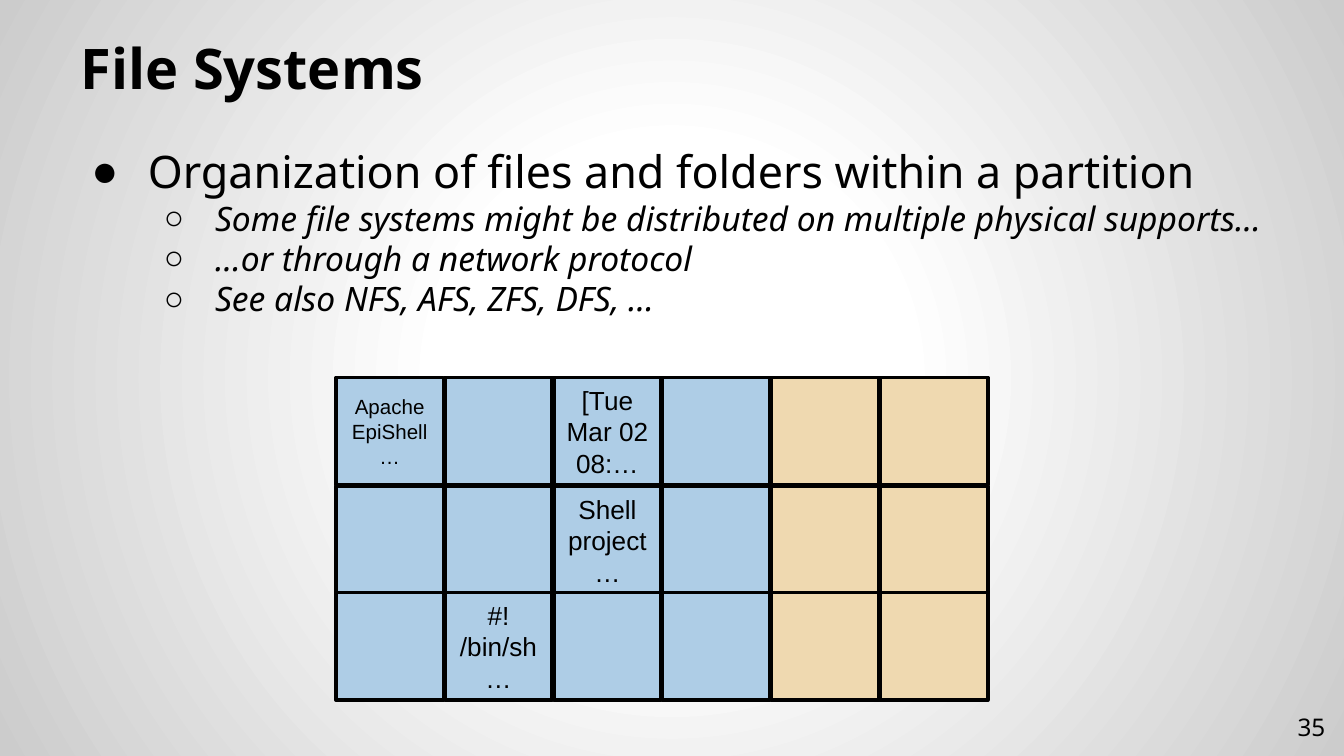
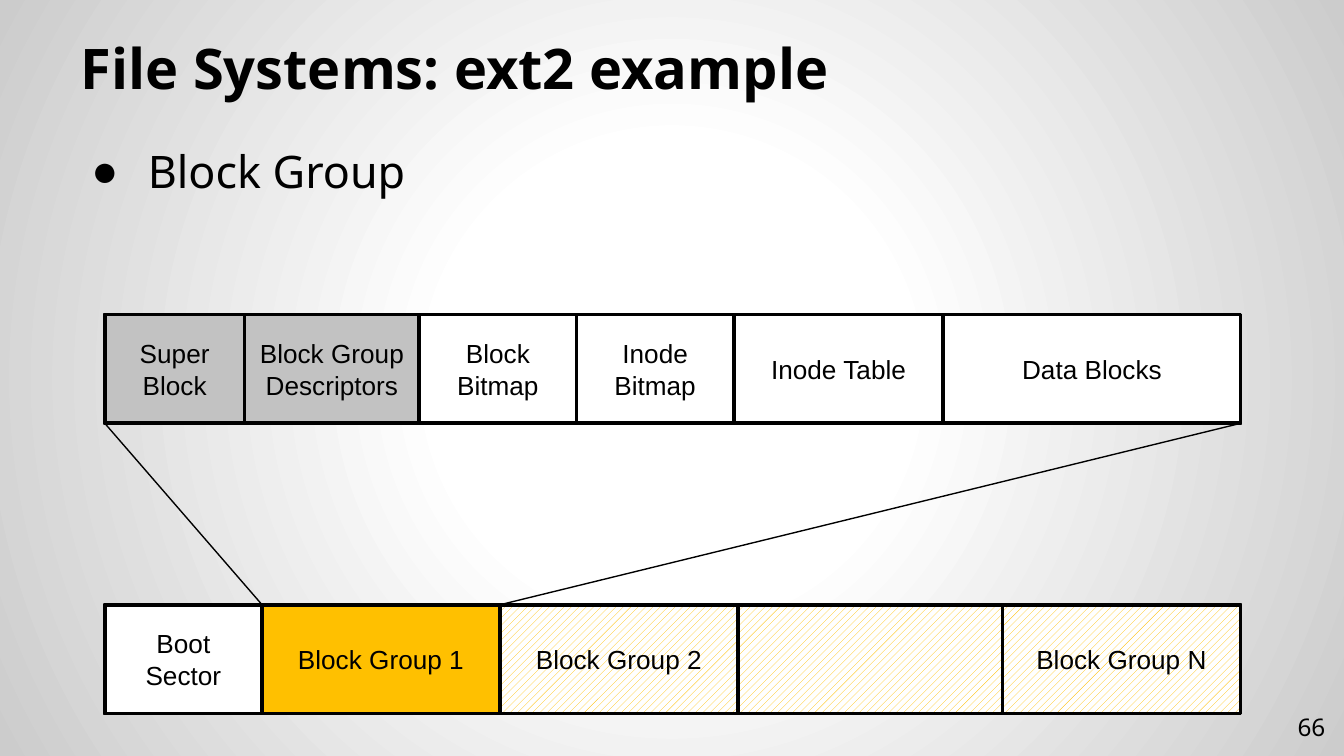
"""Build two slides on file systems: a partition grid and the ext2 block group layout."""
from lxml import etree
from pptx import Presentation
from pptx import util as u
from pptx.dml.color import RGBColor
from pptx.enum import dml, shapes, text
from pptx.oxml import parse_xml
from pptx.oxml.ns import nsdecls, qn

COLORS = {
    "ink": "000000", "white": "FFFFFF", "edge": "CCCCCC", "blue": "AECDE6",
    "sand": "EFD9B0", "grey": "C2C2C2", "amber": "FFC000",
}
HEADING_FONT, LABEL_FONT = "Noto Sans", "Arial"
BULLETS = [("●", 0.5, -0.42, 24, False), ("○", 1, -0.38, 18, True)]
PAGES = [
    ("File Systems", "35", [
        (0, "Organization of files and folders within a partition"),
        (1, "Some file systems might be distributed on multiple physical supports…"),
        (1, "…or through a network protocol"),
        (1, "See also NFS, AFS, ZFS, DFS, …"),
    ]),
    ("File Systems: ext2 example", "66", [(0, "Block Group")]),
]


def add_span(para, words, size, font, bold=False, italic=False):
    span = para.add_run()
    span.text = words
    span.font.size = u.Pt(size)
    span.font.name = font
    span.font.bold = bold
    span.font.italic = italic
    span.font.color.rgb = RGBColor.from_string(COLORS["ink"])


def add_cell(group, left, top, width, height, fill, label="", size=14):
    box = group.shapes.add_shape(
        shapes.MSO_SHAPE.RECTANGLE, *map(u.Inches, (left, top, width, height)))
    box.shadow.inherit = False
    if fill == "none":
        box.fill.background()
    elif fill == "hatch":
        box.fill.patterned()
        box.fill.pattern = dml.MSO_PATTERN.WIDE_UPWARD_DIAGONAL
        box.fill.fore_color.rgb = RGBColor.from_string(COLORS["amber"])
        box.fill.back_color.rgb = RGBColor.from_string(COLORS["white"])
    else:
        box.fill.solid()
        box.fill.fore_color.rgb = RGBColor.from_string(COLORS[fill])
    box.line.color.rgb = RGBColor.from_string(COLORS["ink"])
    box.line.width = u.Pt(2)
    if label:
        frame = box.text_frame
        frame.word_wrap = True
        frame.margin_left = frame.margin_right = u.Inches(0.09)
        frame.vertical_anchor = text.MSO_ANCHOR.MIDDLE
        frame.paragraphs[0].alignment = text.PP_ALIGN.CENTER
        add_span(frame.paragraphs[0], label, size, LABEL_FONT)


deck = Presentation()
deck.slide_width = u.Inches(10)
deck.slide_height = deck.slide_width * 9 // 16

stops = "".join(
    f'<a:gs pos="{position}000"><a:srgbClr val="{COLORS[name]}"/></a:gs>'
    for position, name in [(0, "white"), (30, "white"), (100, "edge")])
master = deck.slide_master.element.cSld
master.replace(master.find(qn("p:bg")), parse_xml(
    f'<p:bg {nsdecls("p", "a")}><p:bgPr><a:gradFill><a:gsLst>{stops}</a:gsLst>'
    '<a:path path="circle"><a:fillToRect l="50000" t="50000" r="50000" b="50000"/></a:path>'
    '</a:gradFill><a:effectLst/></p:bgPr></p:bg>'))

for heading, number, items in PAGES:
    page = deck.slides.add_slide(deck.slide_layouts[1])
    title, body = page.placeholders
    number_box = page.shapes.add_textbox(0, 0, 0, 0)
    for box, place, anchor in [
        (title, (0.5, 0.23, 9, 0.62), text.MSO_ANCHOR.BOTTOM),
        (body, (0.5, 0.97, 9, 4.41), text.MSO_ANCHOR.TOP),
        (number_box, (9.36, 5.19, 0.6, 0.43), text.MSO_ANCHOR.MIDDLE),
    ]:
        box.left, box.top, box.width, box.height = map(u.Inches, place)
        frame = box.text_frame
        frame.word_wrap = True
        frame.auto_size = text.MSO_AUTO_SIZE.NONE
        frame.vertical_anchor = anchor
        frame.margin_left = frame.margin_right = u.Inches(0.1)
        frame.margin_top = frame.margin_bottom = u.Inches(0.1)

    para = title.text_frame.paragraphs[0]
    para.alignment = text.PP_ALIGN.LEFT
    add_span(para, heading, 30, HEADING_FONT, bold=True)

    para = number_box.text_frame.paragraphs[0]
    para.alignment = text.PP_ALIGN.RIGHT
    add_span(para, number, 13, HEADING_FONT)

    for index, (level, words) in enumerate(items):
        frame = body.text_frame
        para = frame.add_paragraph() if index else frame.paragraphs[0]
        symbol, margin, indent, size, italic = BULLETS[level]
        para.level = level
        props = para._p.get_or_add_pPr()
        props.set("marL", str(u.Inches(margin)))
        props.set("indent", str(u.Inches(indent)))
        color = etree.SubElement(props, qn("a:buClr"))
        etree.SubElement(color, qn("a:srgbClr"), val=COLORS["ink"])
        etree.SubElement(props, qn("a:buChar"), char=symbol)
        para.space_before = u.Pt(0)
        add_span(para, words, size, HEADING_FONT, italic=italic)

partition_page, ext2_page = deck.slides

block_labels = {
    (0, 0): ("Apache EpiShell …", 11),
    (0, 2): ("[Tue Mar 02 08:…", 14),
    (1, 2): ("Shell project…", 14),
    (2, 1): ("#! /bin/sh …", 14),
}
grid = partition_page.shapes.add_group_shape()
for row, top in enumerate((2.81, 3.62, 4.41)):
    for column in range(6):
        add_cell(grid, 2.5 + 0.81 * column, top, 0.8, 0.8,
                 "blue" if column < 4 else "sand", *block_labels.get((row, column), ()))

strip_left, strip_width, strip_height = 0.78, 8.45, 0.81
group_top, disk_top = 2.34, 4.5
strips = [
    (group_top, [
        (1.04, "grey", "Super Block"), (1.3, "grey", "Block Group Descriptors"),
        (1.17, "white", "Block Bitmap"), (1.17, "white", "Inode Bitmap"),
        (1.56, "white", "Inode Table"), (2.21, "white", "Data Blocks"),
    ]),
    (disk_top, [
        (1.17, "white", "Boot Sector"), (1.77, "amber", "Block Group 1"),
        (1.77, "hatch", "Block Group 2"), (1.97, "hatch", ""),
        (1.77, "hatch", "Block Group N"),
    ]),
]
for top, parts in strips:
    strip = ext2_page.shapes.add_group_shape()
    left = strip_left
    for width, fill, label in parts:
        add_cell(strip, left, top, width, strip_height, fill, label)
        left += width
    add_cell(strip, strip_left, top, strip_width, strip_height, "none")

for start, end in [(1.95, strip_left), (3.72, strip_left + strip_width)]:
    line = ext2_page.shapes.add_connector(
        shapes.MSO_CONNECTOR.STRAIGHT,
        *map(u.Inches, (start, disk_top, end, group_top + strip_height)))
    line.line.color.rgb = RGBColor.from_string(COLORS["ink"])
    line.line.width = u.Pt(0.75)
    etree.SubElement(line._element.spPr, qn("a:effectLst"))

deck.save("out.pptx")
